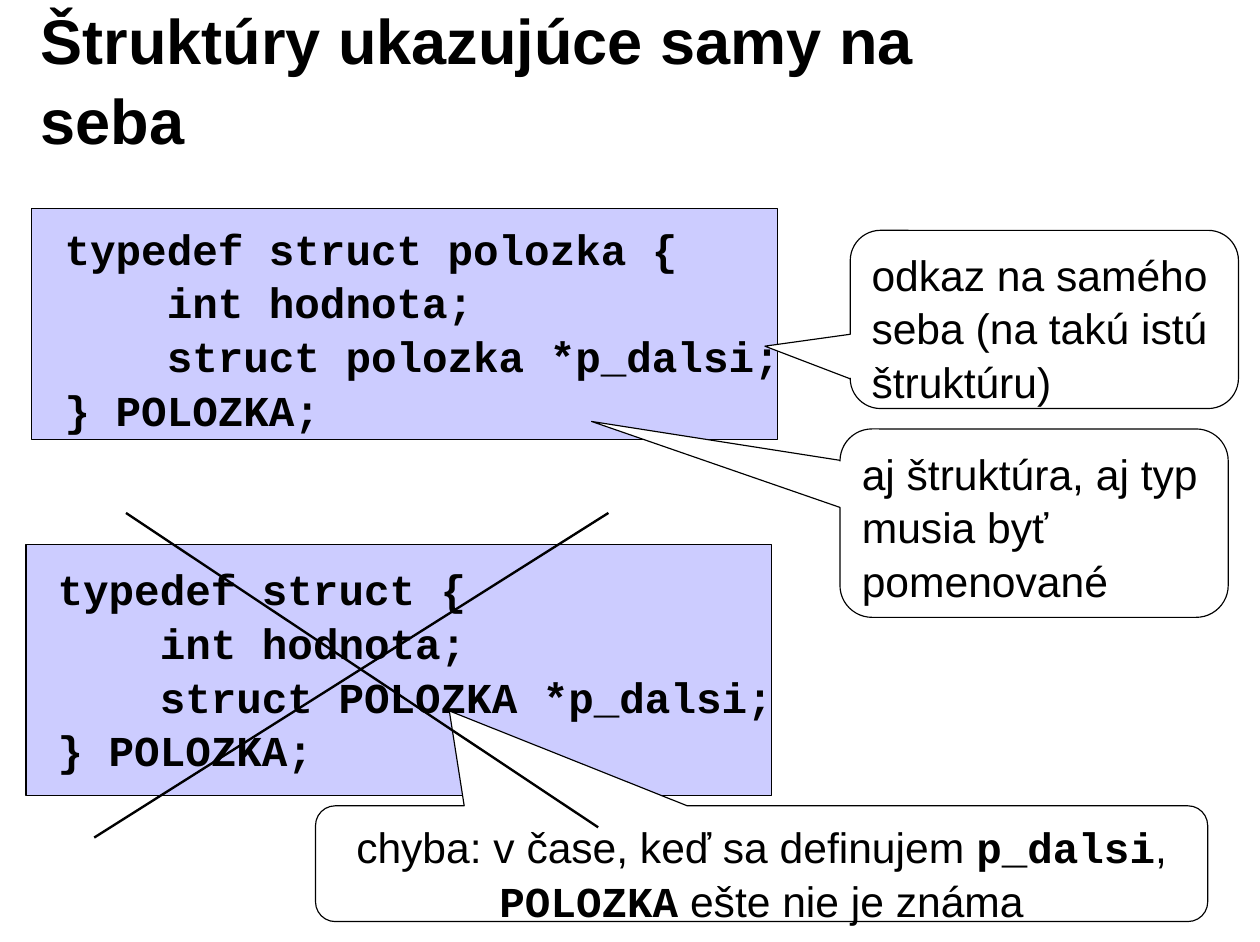
from dataclasses import dataclass

from lxml import etree
from pptx import Presentation
from pptx.dml.color import RGBColor
from pptx.enum import shapes, text
from pptx.oxml import ns
from pptx.shapes.autoshape import Shape
from pptx.slide import Slide
from pptx.util import Inches, Pt

BLACK = RGBColor(0x00, 0x00, 0x00)
WHITE = RGBColor(0xFF, 0xFF, 0xFF)
LAVENDER = RGBColor(0xCC, 0xCC, 0xFF)
BODY_FONT = "Arial"
CODE_FONT = "Courier New"
BODY_SIZE = 27
CODE_INDENT = 0.9


@dataclass(frozen=True)
class Area:
    left: float
    top: float
    width: float
    height: float


@dataclass(frozen=True)
class Listing:
    panel: Area
    code: Area
    inset: tuple[float, float]
    lines: tuple[tuple[str, int], ...]


@dataclass(frozen=True)
class Callout:
    area: Area
    tip: tuple[float, float]
    spans: tuple[tuple[str, bool], ...]
    align: text.PP_ALIGN = text.PP_ALIGN.LEFT


@dataclass(frozen=True)
class Stroke:
    start: tuple[float, float]
    end: tuple[float, float]


TITLE = Area(0.25, 0.17, 8.91, 1.02)

LISTINGS = (
    Listing(Area(0.28, 1.84, 6.57, 2.03), Area(0.46, 1.88, 6.8, 1.91), (0.11, 0.06), (
        ("typedef struct polozka {", 0),
        ("int hodnota;", 1),
        ("struct polozka *p_dalsi;", 1),
        ("} POLOZKA;", 0),
    )),
    Listing(Area(0.23, 4.8, 6.57, 2.21), Area(0.41, 4.89, 6.8, 1.9), (0.1, 0.05), (
        ("typedef struct {", 0),
        ("int hodnota;", 1),
        ("struct POLOZKA *p_dalsi;", 1),
        ("} POLOZKA;", 0),
    )),
)

CALLOUTS = (
    Callout(Area(7.49, 2.03, 3.42, 1.57), (-0.72, 0.15),
            (("odkaz na samého seba (na takú istú štruktúru)", False),)),
    Callout(Area(7.4, 3.78, 3.42, 1.66), (-1.14, -0.54),
            (("aj štruktúra, aj typ musia byť pomenované", False),)),
    Callout(Area(2.78, 7.1, 7.86, 1.02), (-0.35, -1.32), (
        ("chyba: v čase, keď sa definujem ", False),
        ("p_dalsi", True),
        (", ", False),
        ("POLOZKA", True),
        (" ešte nie je známa", False),
    ), text.PP_ALIGN.CENTER),
)

CROSS = (
    Stroke((1.11, 4.52), (5.27, 7.29)),
    Stroke((5.36, 4.52), (0.83, 7.38)),
)


def lengths(area: Area) -> tuple[int, ...]:
    return tuple(Inches(value) for value in (area.left, area.top, area.width, area.height))


def prepare_frame(box: Shape, *, inset: tuple[float, float] = (0.11, 0.06),
                  anchor: text.MSO_ANCHOR = text.MSO_ANCHOR.TOP) -> None:
    frame = box.text_frame
    frame.word_wrap = True
    frame.vertical_anchor = anchor
    frame.margin_left = frame.margin_right = Inches(inset[0])
    frame.margin_top = frame.margin_bottom = Inches(inset[1])


def add_paragraph(box: Shape, spans: tuple[tuple[str, bool], ...], *, size: float = BODY_SIZE,
                  bold: bool = False, indent: float = 0,
                  align: text.PP_ALIGN = text.PP_ALIGN.LEFT) -> None:
    frame = box.text_frame
    para = frame.add_paragraph() if frame.text else frame.paragraphs[0]
    para.alignment = align
    para.line_spacing = 1.05
    if indent:
        para._p.get_or_add_pPr().set("marL", str(Inches(indent)))
    for content, is_code in spans:
        span = para.add_run()
        span.text = content
        span.font.name = CODE_FONT if is_code else BODY_FONT
        span.font.size = Pt(size)
        span.font.bold = bold or is_code
        span.font.color.rgb = BLACK


def add_panel(page: Slide, kind: shapes.MSO_SHAPE, area: Area, fill: RGBColor) -> Shape:
    panel = page.shapes.add_shape(kind, *lengths(area))
    panel.shadow.inherit = False
    panel.fill.solid()
    panel.fill.fore_color.rgb = fill
    panel.line.color.rgb = BLACK
    panel.line.width = Pt(0.75)
    return panel


def add_title(page: Slide, content: str) -> None:
    box = page.shapes.add_textbox(*lengths(TITLE))
    prepare_frame(box, anchor=text.MSO_ANCHOR.MIDDLE)
    add_paragraph(box, ((content, False),), size=40, bold=True)


def add_listing(page: Slide, listing: Listing) -> None:
    add_panel(page, shapes.MSO_SHAPE.RECTANGLE, listing.panel, LAVENDER)
    box = page.shapes.add_textbox(*lengths(listing.code))
    prepare_frame(box, inset=listing.inset)
    for content, level in listing.lines:
        add_paragraph(box, ((content, True),), indent=level * CODE_INDENT)


def add_callout(page: Slide, callout: Callout) -> None:
    box = add_panel(page, shapes.MSO_SHAPE.ROUNDED_RECTANGULAR_CALLOUT, callout.area, WHITE)
    for index, value in enumerate((*callout.tip, 0.17)):
        box.adjustments[index] = value
    prepare_frame(box)
    add_paragraph(box, callout.spans, align=callout.align)


def add_stroke(page: Slide, stroke: Stroke) -> None:
    points = (Inches(value) for value in (*stroke.start, *stroke.end))
    connector = page.shapes.add_connector(shapes.MSO_CONNECTOR.STRAIGHT, *points)
    connector.line.color.rgb = BLACK
    connector.line.width = Pt(1.5)
    etree.SubElement(connector._element.spPr, ns.qn("a:effectLst"))


def main() -> None:
    deck = Presentation()
    deck.slide_width = Inches(11.1)
    deck.slide_height = Inches(8.3)
    page = deck.slides.add_slide(deck.slide_layouts[6])
    add_title(page, "Štruktúry ukazujúce samy na seba")
    for listing in LISTINGS:
        add_listing(page, listing)
    for callout in CALLOUTS:
        add_callout(page, callout)
    for stroke in CROSS:
        add_stroke(page, stroke)
    deck.save("out.pptx")


if __name__ == "__main__":
    main()
